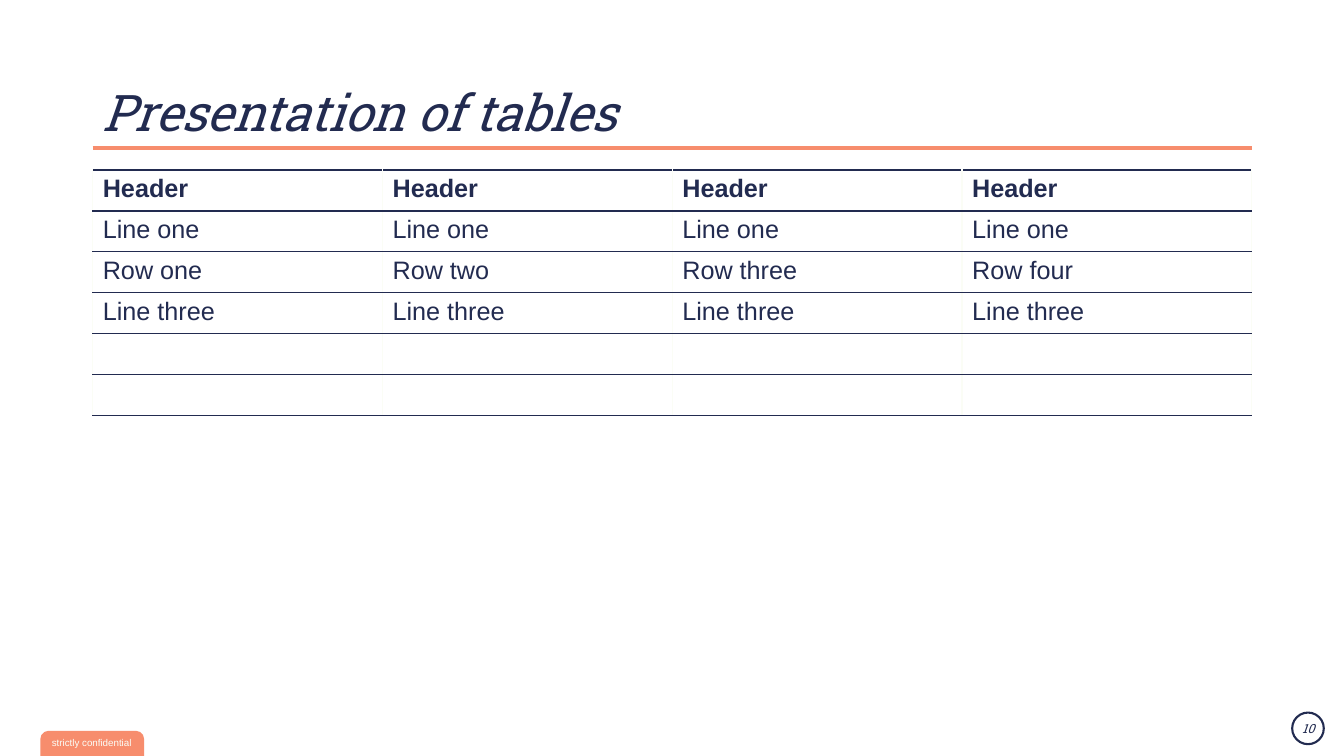
import pptx
import pptx.dml.color
import pptx.enum.shapes
import pptx.enum.text
import pptx.oxml
import pptx.oxml.ns
import pptx.util
from lxml import etree

Pt = pptx.util.Pt
Shape = pptx.enum.shapes.MSO_SHAPE
Align = pptx.enum.text.PP_ALIGN
Anchor = pptx.enum.text.MSO_ANCHOR
qn = pptx.oxml.ns.qn

TITLE = "Presentation of tables"
ROWS = [
    ["Header"] * 4,
    ["Line one"] * 4,
    ["Row one", "Row two", "Row three", "Row four"],
    ["Line three"] * 4,
    [""] * 4,
    [""] * 4,
]
CONFIDENTIALITY = "strictly confidential"
PAGE_NUMBER = "10"

NAVY, CORAL, IVORY, WHITE = "222B50", "F78D6D", "FBFDF6", "FFFFFF"
BODY_FONT, TITLE_FONT = "Arial", "Roboto Slab"
SLIDE_WIDTH, SLIDE_HEIGHT = 960, 540
LEFT, CONTENT_WIDTH = 66.24, 828
RULE_TOP = 105.84
TABLE_TOP, ROW_HEIGHT = 121.5, 29.2
TAB_TOP = 522


def color(value):
    return pptx.dml.color.RGBColor.from_string(value)


def box(left, top, width, height):
    return [Pt(value) for value in (left, top, width, height)]


def write(paragraph, text, size, font=BODY_FONT, ink=NAVY, bold=False, italic=False):
    run = paragraph.add_run()
    run.text = text
    run.font.name = font
    run.font.size = Pt(size)
    run.font.bold = bold
    run.font.italic = italic
    run.font.color.rgb = color(ink)


def add_label(area, text, size, **style):
    frame = slide.shapes.add_textbox(*area).text_frame
    frame.word_wrap = True
    frame.vertical_anchor = Anchor.MIDDLE
    frame.paragraphs[0].alignment = Align.CENTER
    write(frame.paragraphs[0], text, size, **style)


def add_plain_shape(kind, area):
    shape = slide.shapes.add_shape(kind, *area)
    shape.shadow.inherit = False
    return shape


def set_border(cell, side, ink, width):
    line = etree.SubElement(cell._tc.get_or_add_tcPr(), qn(f"a:ln{side}"), w=str(Pt(width)))
    fill = etree.SubElement(line, qn("a:solidFill"))
    etree.SubElement(fill, qn("a:srgbClr"), val=ink)


presentation = pptx.Presentation()
presentation.slide_width, presentation.slide_height = Pt(SLIDE_WIDTH), Pt(SLIDE_HEIGHT)
slide = presentation.slides.add_slide(presentation.slide_layouts[5])
slide.background.fill.solid()
slide.background.fill.fore_color.rgb = color(WHITE)

# Title and rule
title = slide.shapes.title
title.left, title.top, title.width, title.height = box(LEFT, 20.16, 816.5, 85)
title.text_frame.vertical_anchor = Anchor.BOTTOM
heading = title.text_frame.paragraphs[0]
heading.alignment = Align.LEFT
heading.line_spacing = 0.9
write(heading, TITLE, 36, font=TITLE_FONT, italic=True)

rule = slide.shapes.add_connector(
    pptx.enum.shapes.MSO_CONNECTOR.STRAIGHT,
    Pt(LEFT), Pt(RULE_TOP), Pt(LEFT + CONTENT_WIDTH), Pt(RULE_TOP))
rule.line.color.rgb = color(CORAL)
rule.line.width = Pt(2.5)
etree.SubElement(rule._element.spPr, qn("a:effectLst"))

# Table
table = slide.shapes.add_table(
    len(ROWS), len(ROWS[0]),
    *box(LEFT, TABLE_TOP, CONTENT_WIDTH, ROW_HEIGHT * len(ROWS))).table
table.first_row = table.horz_banding = False
for row_index, texts in enumerate(ROWS):
    is_header = row_index == 0
    top_width = 1.5 if row_index <= 1 else 1
    bottom_width = 1.5 if is_header else 1
    for column_index, text in enumerate(texts):
        cell = table.cell(row_index, column_index)
        for side, ink, width in (("L", IVORY, 1), ("R", IVORY, 1),
                                 ("T", NAVY, top_width), ("B", NAVY, bottom_width)):
            set_border(cell, side, ink, width)
        cell.fill.background()
        if text:
            write(cell.text_frame.paragraphs[0], text, 18, bold=is_header)

# Footer
tab = add_plain_shape(Shape.ROUND_2_SAME_RECTANGLE,
                      box(28.8, TAB_TOP, 74.2, SLIDE_HEIGHT - TAB_TOP))
tab.adjustments[0] = 0.33
tab.fill.solid()
tab.fill.fore_color.rgb = color(CORAL)
tab.line.fill.background()
add_label(box(23.76, 519.84, 83.5, 21.6), CONFIDENTIALITY, 7, ink=IVORY)

ring = add_plain_shape(Shape.OVAL, box(923, 509, 22.6, 22.6))
ring.fill.background()
ring.line.color.rgb = color(NAVY)
ring.line.width = Pt(1.5)
add_label(box(915.5, 509.76, 38.16, 21.6), PAGE_NUMBER, 9, font=TITLE_FONT, italic=True)

presentation.save("out.pptx")
